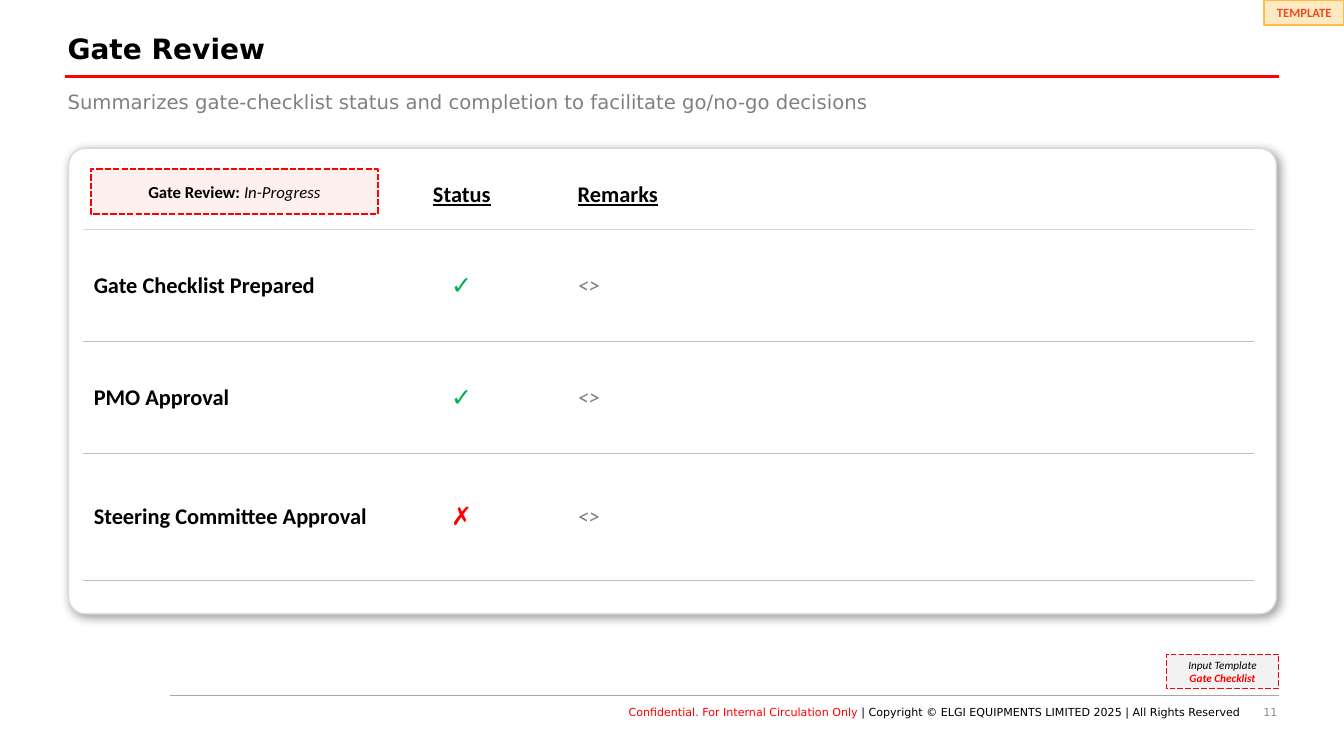
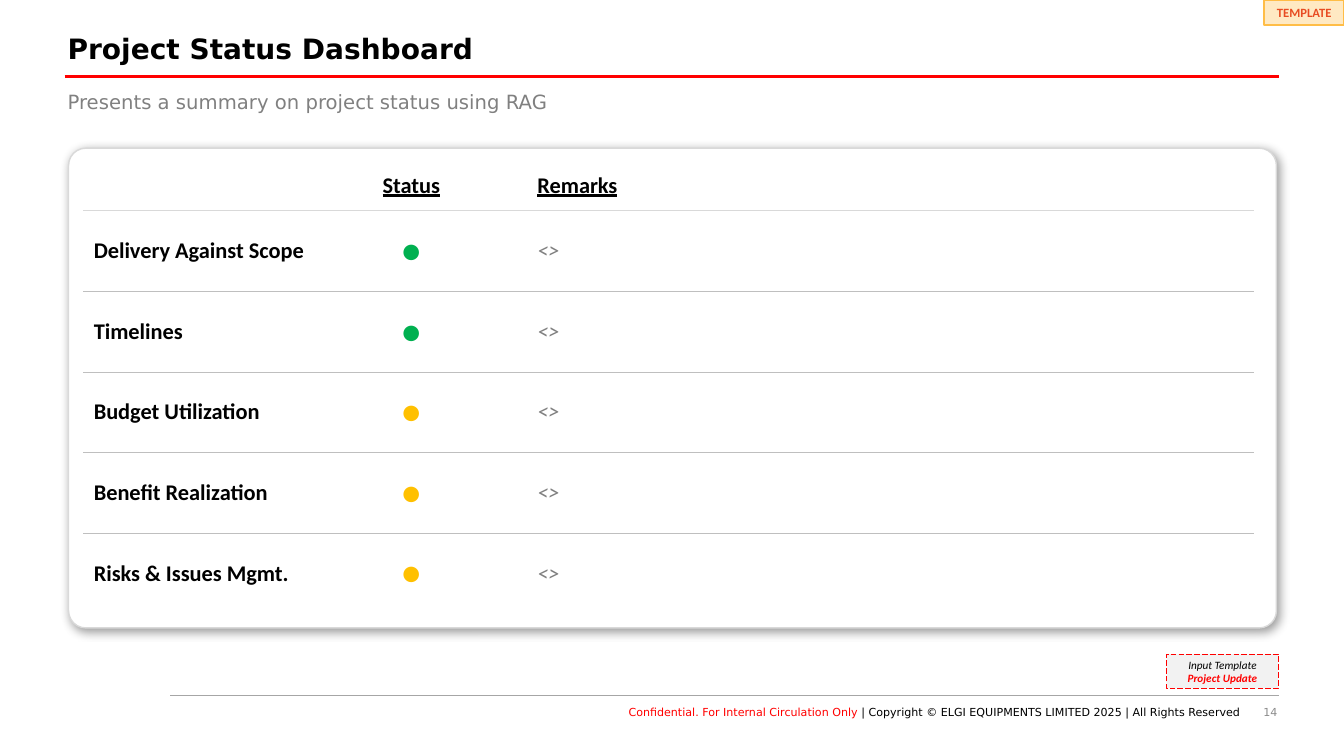
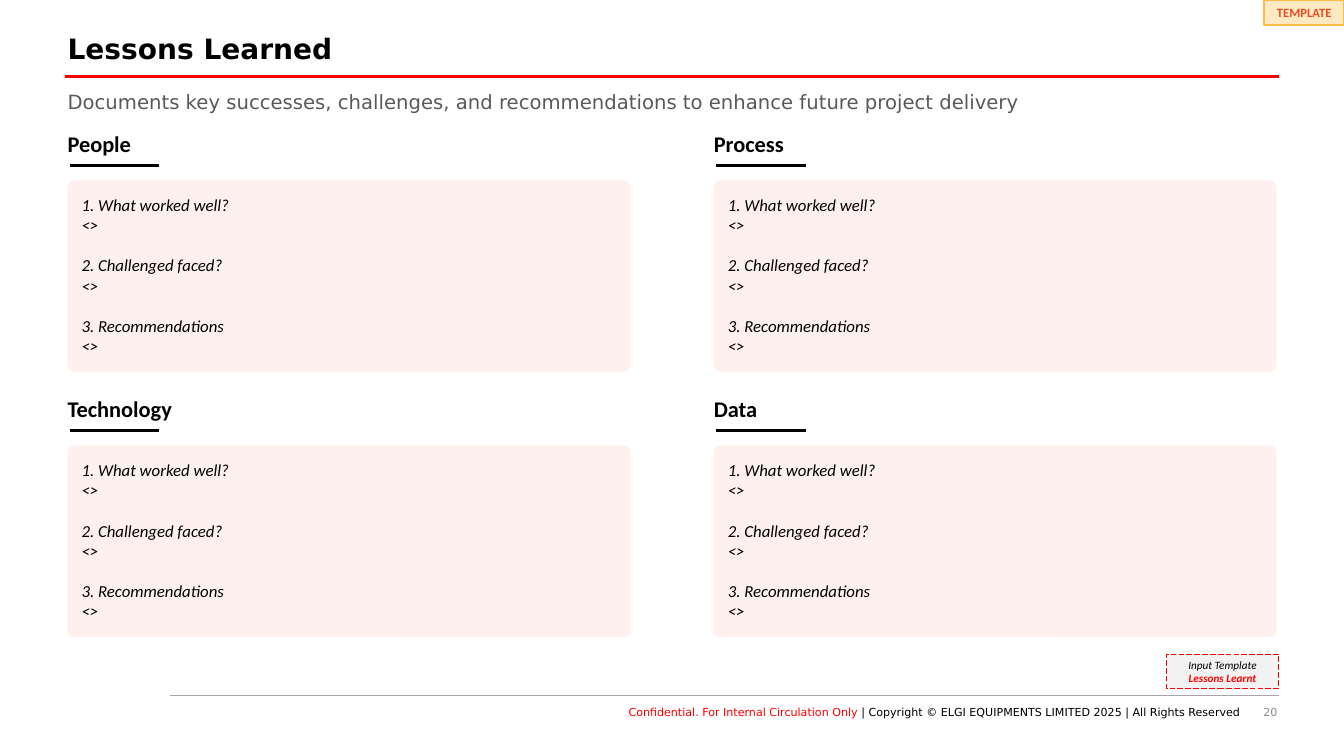
from lxml import etree
from pptx import Presentation
from pptx.dml.color import RGBColor
from pptx.enum.dml import MSO_LINE as DASH
from pptx.enum.shapes import MSO_CONNECTOR, MSO_SHAPE as SHAPE
from pptx.enum.text import MSO_ANCHOR as ANCHOR, MSO_AUTO_SIZE, PP_ALIGN as ALIGN
from pptx.oxml.ns import qn
from pptx.util import Inches, Pt

WIDTH, HEIGHT = 13.33, 7.5
LEFT, RULE_LEFT, RIGHT = 0.67, 0.64, 12.69
BLACK, WHITE, RED, GREEN, AMBER = "000000", "FFFFFF", "FF0000", "00B050", "FFC000"
GREY, DARK_GREY, PALE_GREY = "808080", "595959", "D9D9D9"
ROW_GREY, RULE_GREY, PAGE_GREY = "BFBFBF", "A6A6A6", "8C8C8C"
NOTE_GREY, ORANGE, RUST = "F2F2F2", "FFBD47", "E84C22"
PINK, BLUSH = "FFD1D1", "FFF0F0"
BODY, DISPLAY = "Calibri", "DejaVu Sans"

SECTION_PITCH_X, SECTION_PITCH_Y, SECTION_TOP = 6.41, 2.63, 1.16
QUESTIONS = ["1. What worked well?", "2. Challenged faced?", "3. Recommendations"]


def rgb(color):
    return RGBColor.from_string(color)


def box(x, y, w, h):
    return [Inches(v) for v in (x, y, w, h)]


def child(parent, tag, **attrs):
    return etree.SubElement(parent, qn(tag), {k: str(v) for k, v in attrs.items()})


def style(font, size=None, color=None, name=None, bold=None, italic=None, underline=None):
    if size:
        font.size = Pt(size)
    if color:
        font.color.rgb = rgb(color)
    if name:
        font.name = name
    font.bold, font.italic, font.underline = bold, italic, underline


def write(p, text, size, color=BLACK, name=BODY, align=ALIGN.LEFT, **marks):
    """Fill a paragraph with text of one style."""
    p.alignment = align
    p.add_run().text = text
    style(p.font, size, color, name, **marks)


def add_runs(p, runs, size, name=BODY, align=ALIGN.CENTER):
    """Fill a paragraph with (text, colour, marks) runs."""
    p.alignment = align
    style(p.font, size, name=name)
    for text, color, marks in runs:
        r = p.add_run()
        r.text = text
        style(r.font, color=color, **marks)


def set_frame(tf, insets=(0, 0, 0, 0), anchor=ANCHOR.TOP):
    tf.word_wrap = True
    tf.auto_size = MSO_AUTO_SIZE.NONE
    tf.vertical_anchor = anchor
    tf.margin_left, tf.margin_top, tf.margin_right, tf.margin_bottom = map(Inches, insets)
    return tf


def add_text(shapes, bounds, insets=(0, 0, 0, 0)):
    return set_frame(shapes.add_textbox(*box(*bounds)).text_frame, insets)


def add_panel(shapes, bounds, fill, line=None, width=1, dash=None, alpha=None, radius=None):
    """Add a rectangle, rounded when a radius share is given."""
    kind = SHAPE.RECTANGLE if radius is None else SHAPE.ROUNDED_RECTANGLE
    sp = shapes.add_shape(kind, *box(*bounds))
    sp.shadow.inherit = False
    if radius is not None:
        sp.adjustments[0] = radius
    sp.fill.solid()
    sp.fill.fore_color.rgb = rgb(fill)
    if alpha:
        color = sp.fill._xPr.find(qn("a:solidFill"))[0]
        child(color, "a:alpha", val=alpha * 1000)
    if line:
        sp.line.color.rgb = rgb(line)
        sp.line.width = Pt(width)
        if dash:
            sp.line.dash_style = dash
    else:
        sp.line.fill.background()
    set_frame(sp.text_frame, anchor=ANCHOR.MIDDLE)
    return sp


def add_rule(shapes, x1, x2, y, color, width):
    line = shapes.add_connector(MSO_CONNECTOR.STRAIGHT, *box(x1, y, x2, y))
    line.line.color.rgb = rgb(color)
    line.line.width = Pt(width)
    child(line._element.spPr, "a:effectLst")


def add_card(shapes, height):
    card = add_panel(shapes, (0.68, 1.47, 11.98, height), WHITE, PALE_GREY, radius=0.036)
    effects = card._element.spPr.find(qn("a:effectLst"))
    shadow = child(effects, "a:outerShdw", blurRad=Pt(7), dist=Pt(3),
                   dir=45 * 60000, algn="tl", rotWithShape=0)
    child(child(shadow, "a:srgbClr", val=BLACK), "a:alpha", val=40000)


def set_borders(cell, top, bottom):
    """Draw white sides and the given (colour, width) top and bottom edges."""
    tc_pr = cell._tc.get_or_add_tcPr()
    side = (WHITE, 1)
    for tag, (color, width) in zip(("a:lnL", "a:lnR", "a:lnT", "a:lnB"),
                                   (side, side, top, bottom)):
        ln = child(tc_pr, tag, w=Pt(width))
        child(child(ln, "a:solidFill"), "a:srgbClr", val=color)


def add_status_table(shapes, cols, row_heights, rows, mark_size, remark_inset, last_edge):
    """Add a Status and Remarks table; rows hold (label, mark, mark colour)."""
    table = shapes.add_table(len(row_heights), len(cols), *box(
        0.83, 1.59, sum(cols), sum(row_heights))).table
    table.first_row = table.horz_banding = False
    for col, w in zip(table.columns, cols):
        col.width = Inches(w)
    for row, h in zip(table.rows, row_heights):
        row.height = Inches(h)

    edges = [(WHITE, 1), (PALE_GREY, 1)] + [(ROW_GREY, 0.5)] * (len(rows) - 1) + [last_edge]
    for i, row in enumerate(table.rows):
        for j, cell in enumerate(row.cells):
            set_borders(cell, edges[i], edges[i + 1])
            cell.fill.background()
            cell.vertical_anchor = ANCHOR.MIDDLE
            cell.margin_left = Inches(remark_inset if j == 2 else 0.1)

    def fill_cell(i, j, *args, **kwargs):
        write(table.cell(i, j).text_frame.paragraphs[0], *args, **kwargs)

    fill_cell(0, 1, "Status", 16, align=ALIGN.CENTER, bold=True, underline=True)
    fill_cell(0, 2, "Remarks", 16, bold=True, underline=True)
    for i, (label, mark, color) in enumerate(rows, 1):
        fill_cell(i, 0, label, 16, bold=True)
        fill_cell(i, 1, mark, mark_size, color, align=ALIGN.CENTER)
        fill_cell(i, 2, "<>", 16, GREY, italic=True)


def add_section(shapes, heading, col, row):
    """Add a grouped heading, underline and question panel at a grid place."""
    group = shapes.add_group_shape().shapes
    x, y = LEFT + col * SECTION_PITCH_X, SECTION_TOP + row * SECTION_PITCH_Y
    add_rule(group, x + 0.02, x + 0.91, y + 0.48, BLACK, 2.25)
    p = add_text(group, (x, y, 2, 0.42), (0, 0.05, 0, 0.05)).paragraphs[0]
    p.line_spacing = 1.3
    write(p, heading, 16, bold=True)

    panel = add_panel(group, (x, y + 0.63, 5.58, 1.9), BLUSH, radius=0.034)
    tf = set_frame(panel.text_frame, (0.12, 0.12, 0.1, 0.05))
    for i, question in enumerate(QUESTIONS):
        p = tf.add_paragraph() if i else tf.paragraphs[0]
        if i:
            p.space_before = Pt(14.6)
        write(p, question, 12, italic=True)
        write(tf.add_paragraph(), "<>", 12, italic=True)


def add_footer(shapes, page):
    add_rule(shapes, 1.69, RIGHT, 0.92 * HEIGHT, RULE_GREY, 0.5)
    p = add_text(shapes, (9.67, 7, 3, 0.2)).paragraphs[0]
    write(p, str(page), 7.9, PAGE_GREY, DISPLAY, ALIGN.RIGHT)
    p = add_text(shapes, (2.46, 7, 9.84, 0.2)).paragraphs[0]
    add_runs(p, [("Conﬁdential. For Internal Circulation Only ", RED, {}),
                 ("| Copyright © ELGI EQUIPMENTS LIMITED 2025 | All Rights Reserved", BLACK, {})],
             7.9, DISPLAY, ALIGN.RIGHT)


def add_slide(prs, title, subtitle, page, input_name, subtitle_color=GREY):
    """Add a slide with the shared title, rules, tags and footer; return its shapes."""
    shapes = prs.slides.add_slide(prs.slide_layouts[5]).shapes
    add_footer(shapes, page)
    add_rule(shapes, RULE_LEFT, RIGHT, 0.76, RED, 2.25)

    heading = shapes.title
    heading.left, heading.top, heading.width, heading.height = box(LEFT, 0.3, 11.58, 0.4)
    insets = (0, 0.05, 0.1, 0.05)
    p = set_frame(heading.text_frame, insets).paragraphs[0]
    p.line_spacing = 0.9
    write(p, title, 20, name=DISPLAY, bold=True)
    p = add_text(shapes, (LEFT, 0.87, 11.58, 0.4), insets).paragraphs[0]
    p.line_spacing = 0.9
    write(p, subtitle, 14, subtitle_color, DISPLAY)

    tag = add_panel(shapes, (WIDTH - 0.79, 0, 0.79, 0.25), ORANGE, ORANGE, 1.5, alpha=32)
    write(tag.text_frame.paragraphs[0], "TEMPLATE", 9, RUST, align=ALIGN.CENTER, bold=True)

    note = add_panel(shapes, (11.57, 6.49, 1.11, 0.34), NOTE_GREY, RED, 0.5, DASH.LONG_DASH)
    tf = note.text_frame
    write(tf.paragraphs[0], "Input Template", 8, align=ALIGN.CENTER, italic=True)
    write(tf.add_paragraph(), input_name, 8, RED, align=ALIGN.CENTER, bold=True, italic=True)
    return shapes


def add_gate_review(prs):
    shapes = add_slide(
        prs, "Gate Review",
        "Summarizes gate-checklist status and completion to facilitate go/no-go decisions",
        11, "Gate Checklist")
    add_card(shapes, 4.62)
    add_status_table(shapes, [3, 1.5, 7.1], [0.69, 1.11, 1.11, 1.26],
                     [("Gate Checklist Prepared", "✓", GREEN),
                      ("PMO Approval", "✓", GREEN),
                      ("Steering Committee Approval", "✗", RED)],
                     18, 0.4, (ROW_GREY, 0.5))
    state = add_panel(shapes, (0.9, 1.68, 2.85, 0.44), PINK, RED, 1.5, DASH.SQUARE_DOT, 32)
    add_runs(state.text_frame.paragraphs[0],
             [("Gate Review: ", BLACK, {"bold": True}),
              ("In-Progress", BLACK, {"italic": True})], 12)


def add_dashboard(prs):
    shapes = add_slide(prs, "Project Status Dashboard",
                       "Presents a summary on project status using RAG",
                       14, "Project Update")
    add_card(shapes, 4.76)
    add_status_table(shapes, [2.5, 1.5, 7.6], [0.5] + [0.8] * 5,
                     [("Delivery Against Scope", "●", GREEN),
                      ("Timelines", "●", GREEN),
                      ("Budget Utilization", "●", AMBER),
                      ("Benefit Realization", "●", AMBER),
                      ("Risks & Issues Mgmt.", "●", AMBER)],
                     24, 0.5, (WHITE, 1))


def add_lessons(prs):
    shapes = add_slide(
        prs, "Lessons Learned",
        "Documents key successes, challenges, and recommendations to enhance future project delivery",
        20, "Lessons Learnt", DARK_GREY)
    for i, heading in enumerate(["People", "Process", "Technology", "Data"]):
        row, col = divmod(i, 2)
        add_section(shapes, heading, col, row)


def main():
    prs = Presentation()
    prs.slide_width, prs.slide_height = Inches(WIDTH), Inches(HEIGHT)
    add_gate_review(prs)
    add_dashboard(prs)
    add_lessons(prs)
    prs.save("out.pptx")


if __name__ == "__main__":
    main()
